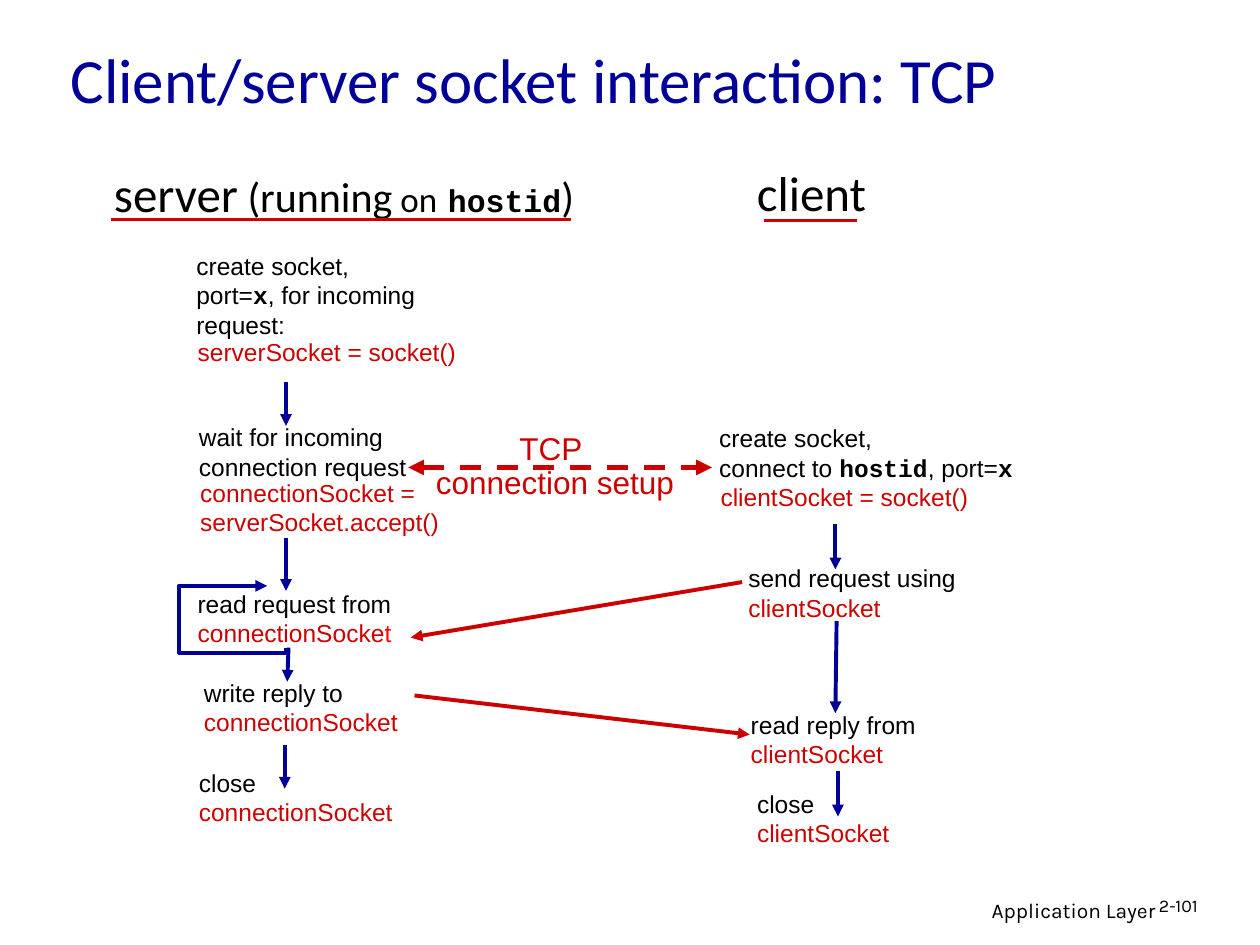
import pptx
import pptx.util
import pptx.dml.color
import pptx.enum.dml
import pptx.enum.shapes
import pptx.enum.text
import pptx.oxml
import pptx.oxml.ns

Inches = pptx.util.Inches
ALIGN = pptx.enum.text.PP_ALIGN
ANCHOR = pptx.enum.text.MSO_ANCHOR
FIT = pptx.enum.text.MSO_AUTO_SIZE
BLACK, BLUE, RED, BRIGHT_RED = "000000", "000099", "CC0000", "FF0000"


def write_text(para, text, size=14, font="Arial", color=BLACK, bold=False):
    span = para.add_run()
    span.text = text
    span.font.size = pptx.util.Pt(size)
    span.font.name = font
    span.font.bold = bold
    span.font.color.rgb = pptx.dml.color.RGBColor.from_string(color)


def style_line(shape, color, width, ends=("tailEnd",), dashed=False):
    shape.line.color.rgb = pptx.dml.color.RGBColor.from_string(color)
    shape.line.width = pptx.util.Pt(width)
    if dashed:
        shape.line.dash_style = pptx.enum.dml.MSO_LINE.DASH
    line = shape.line._get_or_add_ln()
    for end in ends:
        arrow = pptx.oxml.parse_xml(f'<a:{end} {pptx.oxml.ns.nsdecls("a")} type="triangle"/>')
        line.append(arrow)


deck = pptx.Presentation()
deck.slide_width = Inches(10)
deck.slide_height = Inches(7.5)
page = deck.slides.add_slide(deck.slide_layouts[5])

title = page.shapes.title
title.left, title.top = Inches(0.46), Inches(0.1)
title.width, title.height = Inches(8.5), Inches(1.04)
title.text_frame.auto_size = FIT.NONE
title.text_frame.vertical_anchor = ANCHOR.MIDDLE
title.text_frame.paragraphs[0].alignment = ALIGN.LEFT
write_text(title.text_frame.paragraphs[0], "Client/server socket interaction: TCP",
           size=36, font="Calibri", color=BLUE)

code = {"font": "Courier New", "bold": True}
red = {"color": RED}
heading = {"size": 28, "font": "Calibri"}
setup = {"size": 18, "color": RED}
connection_socket = [("connectionSocket", red)]
client_socket = [("clientSocket", red)]

left_boxes = [
    (1.48, 3.3, 1.85, 0.57, False,
     [[("wait for incoming", {})], [("connection request", {})]]),
    (1.49, 3.74, 2.25, 0.57, True,
     [[("connectionSocket =", red)], [("serverSocket.accept()", red)]]),
    (1.46, 1.94, 2.11, 0.8, True,
     [[("create socket,", {})],
      [("port=", {}), ("x", code), (", for incoming request:", {})]]),
    (1.47, 2.62, 2.57, 0.34, True, [[("serverSocket = socket()", red)]]),
    (5.61, 3.31, 2.53, 0.57, False,
     [[("create socket,", {})],
      [("connect to ", {}), ("hostid", code), (", port=", {}), ("x", code)]]),
    (5.62, 3.77, 2.58, 0.34, True, [[("clientSocket = socket()", red)]]),
    (5.84, 4.42, 1.85, 0.57, False, [[("send request using", {})], client_socket]),
    (1.47, 4.62, 1.74, 0.57, False,
     [[("read request from", {})],
      [("connectionSocke", red), ("t", {"color": BRIGHT_RED})]]),
    (1.52, 5.33, 1.74, 0.57, False, [[("write reply to", {})], connection_socket]),
    (1.48, 6.04, 1.74, 0.57, False, [[("close", {})], connection_socket]),
    (5.86, 5.58, 1.51, 0.57, False, [[("read reply from", {})], client_socket]),
    (5.91, 6.21, 1.25, 0.57, False, [[("close", {})], client_socket]),
]
centered_boxes = [
    (0.59, 1.25, 4.28, 0.57, False,
     [[("server", heading), (" (running", {"size": 24, "font": "Calibri"}),
       (" on", {"size": 20, "font": "Calibri"}), (" ", {"size": 18, "font": "Comic Neue"}),
       ("hostid", {"size": 18, **code}), (")", {"size": 24, "font": "Calibri"})]]),
    (5.85, 1.24, 1.18, 0.57, False, [[("client", heading)]]),
    (3.36, 3.39, 2.09, 0.64, False, [[("TCP ", setup)], [("connection setup", setup)]]),
]
footer = (6.1, 7.07, 3.17, 0.31, True,
          [[("Application Layer", {"size": 12, "font": "Karla"})]])
number = (9.1, 7.07, 0.74, 0.3, True, [[("2-101", {"size": 10.2, "font": "Karla"})]])

groups = [
    (left_boxes, ALIGN.LEFT, ANCHOR.MIDDLE, 1.0),
    (centered_boxes[:2], ALIGN.CENTER, ANCHOR.MIDDLE, 1.0),
    (centered_boxes[2:], ALIGN.CENTER, ANCHOR.MIDDLE, 0.9),
    ([footer], ALIGN.RIGHT, ANCHOR.TOP, 1.0),
    ([number], ALIGN.LEFT, ANCHOR.TOP, 0.9),
]
for boxes, alignment, anchor, spacing in groups:
    for left, top, width, height, wrap, lines in boxes:
        box = page.shapes.add_textbox(Inches(left), Inches(top), Inches(width), Inches(height))
        frame = box.text_frame
        frame.word_wrap = wrap
        frame.auto_size = FIT.SHAPE_TO_FIT_TEXT if anchor == ANCHOR.MIDDLE else FIT.NONE
        frame.vertical_anchor = anchor
        for index, spans in enumerate(lines):
            para = frame.add_paragraph() if index else frame.paragraphs[0]
            para.alignment = alignment
            para.line_spacing = spacing
            for text, style in spans:
                write_text(para, text, **style)

flow = {"color": BLUE, "width": 2.25}
message = {"color": RED, "width": 2.25}
underline = {"color": RED, "width": 1.5, "ends": ()}
handshake = {"color": RED, "width": 3, "ends": ("headEnd", "tailEnd"), "dashed": True}
connectors = [
    (2.27, 3.03, 2.27, 3.38, flow),
    (2.27, 4.27, 2.27, 4.69, flow),
    (2.29, 5.14, 2.28, 5.41, flow),
    (2.26, 5.91, 2.26, 6.26, flow),
    (6.63, 4.16, 6.63, 4.52, flow),
    (6.64, 4.93, 6.63, 5.66, flow),
    (6.65, 6.12, 6.65, 6.48, flow),
    (5.89, 4.62, 3.26, 5.06, message),
    (3.29, 5.52, 5.95, 5.83, message),
    (0.88, 1.74, 4.53, 1.74, underline),
    (6.06, 1.75, 6.8, 1.75, underline),
    (3.24, 3.71, 5.65, 3.71, handshake),
]
for start_x, start_y, end_x, end_y, style in connectors:
    connector = page.shapes.add_connector(
        pptx.enum.shapes.MSO_CONNECTOR.STRAIGHT,
        Inches(start_x), Inches(start_y), Inches(end_x), Inches(end_y))
    style_line(connector, **style)
    connector._element.spPr.append(pptx.oxml.parse_xml(
        f'<a:effectLst {pptx.oxml.ns.nsdecls("a")}/>'))

outline = page.shapes.build_freeform(Inches(2.27), Inches(5.14))
outline.add_line_segments(
    [(Inches(x), Inches(y)) for x, y in [(2.27, 5.18), (1.42, 5.18), (1.42, 4.65), (2.12, 4.65)]],
    close=False)
read_loop = outline.convert_to_shape()
read_loop.shadow.inherit = False
read_loop.fill.background()
style_line(read_loop, **flow)

deck.save("out.pptx")
